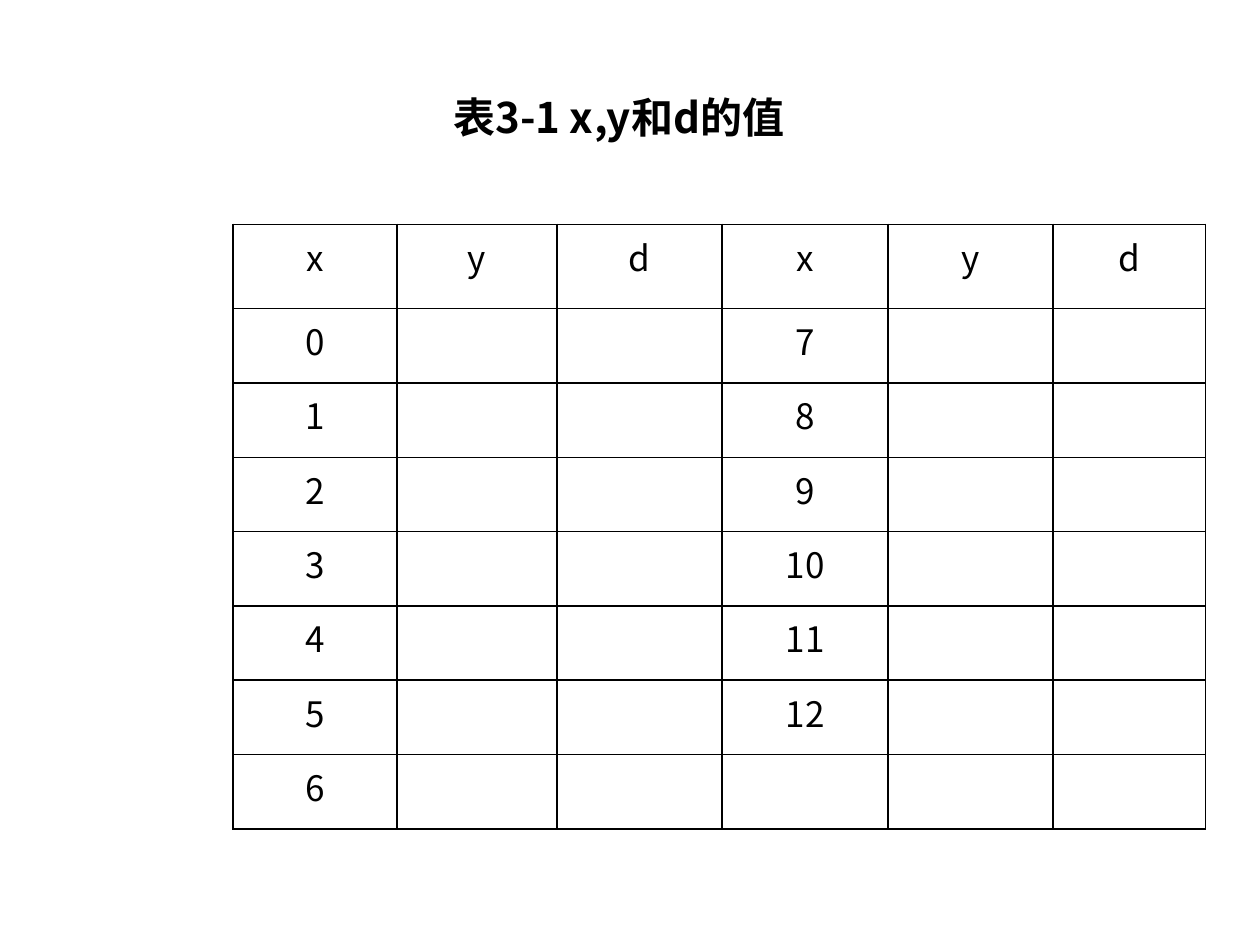
from dataclasses import dataclass

from pptx import Presentation
from pptx.dml.color import RGBColor
from pptx.enum.text import MSO_ANCHOR as Anchor, PP_ALIGN as Align
from pptx.oxml import parse_xml
from pptx.oxml.ns import nsdecls
from pptx.util import Inches, Pt

FONT = "Noto Sans CJK SC"
COLORS = {"ink": "000000", "paper": "FFFFFF"}


@dataclass
class ValueTable:
    left: float
    top: float
    col_widths: list[float]
    row_heights: list[float]
    rows: list[list[str]]


def write(tf, text: str, *, size: int, bold: bool = False, align=Align.LEFT) -> None:
    p = tf.paragraphs[0]
    p.alignment = align
    r = p.add_run()
    r.text = text
    r.font.size = Pt(size)
    r.font.bold = bold
    r.font.name = FONT
    r.font.color.rgb = RGBColor.from_string(COLORS["ink"])
    # East Asian characters take their own typeface
    r.font._element.append(parse_xml(f'<a:ea {nsdecls("a")} typeface="{FONT}"/>'))


def style_cell(cell) -> None:
    tc_pr = cell._tc.get_or_add_tcPr()
    for side in "LRTB":
        tc_pr.append(parse_xml(
            f'<a:ln{side} {nsdecls("a")} w="{Pt(1)}"><a:solidFill>'
            f'<a:srgbClr val="{COLORS["ink"]}"/></a:solidFill></a:ln{side}>'))
    cell.fill.solid()
    cell.fill.fore_color.rgb = RGBColor.from_string(COLORS["paper"])


def draw_table(s, spec: ValueTable) -> None:
    table = s.shapes.add_table(
        len(spec.row_heights), len(spec.col_widths),
        Inches(spec.left), Inches(spec.top),
        Inches(sum(spec.col_widths)), Inches(sum(spec.row_heights))).table
    for col, width in zip(table.columns, spec.col_widths):
        col.width = Inches(width)
    for row, height, values in zip(table.rows, spec.row_heights, spec.rows):
        row.height = Inches(height)
        for cell, value in zip(row.cells, values):
            style_cell(cell)
            if value:
                write(cell.text_frame, value, size=20, align=Align.CENTER)


def main() -> None:
    prs = Presentation()
    prs.slide_width, prs.slide_height = Inches(10), Inches(7.5)
    s = prs.slides.add_slide(prs.slide_layouts[6])

    # Title
    tf = s.shapes.add_textbox(
        Inches(3.5), Inches(0.68), Inches(3.94), Inches(0.5)).text_frame
    tf.word_wrap = True
    tf.vertical_anchor = Anchor.MIDDLE
    write(tf, "表3-1 x,y和d的值", size=24, bold=True)

    # Values of x run down the left half, then down the right half
    rows = [["x", "y", "d"] * 2]
    for x in range(7):
        right = str(x + 7) if x + 7 <= 12 else ""
        rows.append([str(x), "", "", right, "", ""])
    draw_table(s, ValueTable(
        1.85, 1.78, [1.3, 1.27, 1.31, 1.32, 1.31, 1.21], [0.67] + [0.59] * 7, rows))

    prs.save("out.pptx")


if __name__ == "__main__":
    main()
